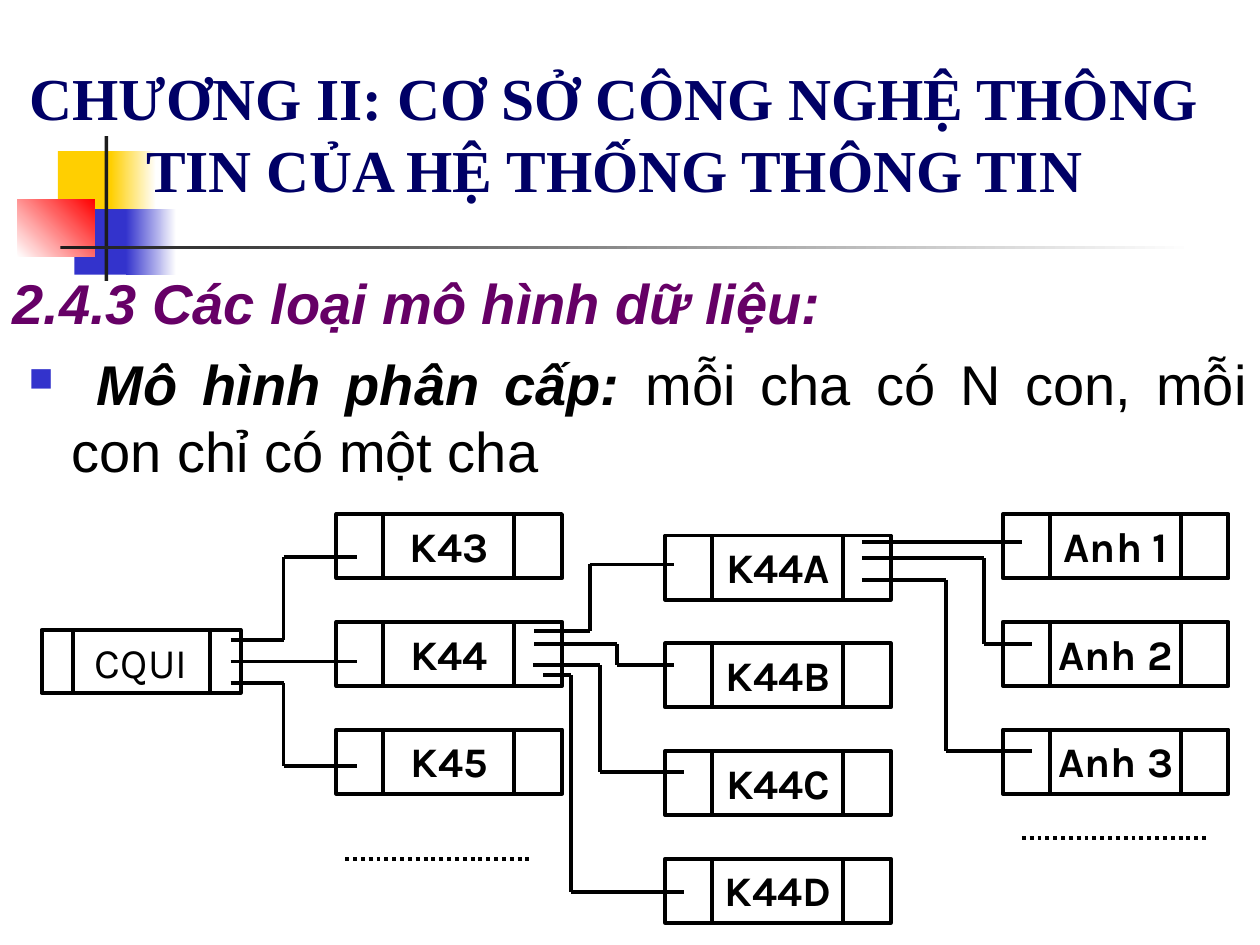
from itertools import pairwise

from pptx import Presentation
from pptx.dml.color import RGBColor
from pptx.enum import dml, shapes, text
from pptx.oxml.xmlchemy import OxmlElement
from pptx.util import Inches, Pt

BLACK = RGBColor(0x00, 0x00, 0x00)
WHITE = RGBColor(0xFF, 0xFF, 0xFF)
YELLOW = RGBColor(0xFF, 0xCF, 0x01)
BLUE = RGBColor(0x33, 0x33, 0xCC)
RED = RGBColor(0xFF, 0x00, 0x00)
CHARCOAL = RGBColor(0x1C, 0x1C, 0x1C)
NAVY = RGBColor(0x00, 0x00, 0x66)
PURPLE = RGBColor(0x66, 0x00, 0x66)

LINE_WIDTH = Pt(2.25)
NODE_WIDTH, NODE_HEIGHT, NODE_PITCH = 1.79, 0.51, 0.855
NODE_DIVIDERS = (0.37, 1.41)

# Left edge, top edge and labels of each column of records
COLUMNS = [
    (2.67, 4.08, ["K43", "K44", "K45"]),
    (5.28, 4.25, ["K44A", "K44B", "K44C", "K44D"]),
    (7.96, 4.08, ["Anh 1", "Anh 2", "Anh 3"]),
]

# Corner points of each parent-to-child link
LINKS = [
    [(1.83, 5.08), (2.25, 5.08), (2.25, 4.42), (2.83, 4.42)],
    [(1.83, 5.25), (2.83, 5.25)],
    [(1.83, 5.42), (2.25, 5.42), (2.25, 6.08), (2.83, 6.08)],
    [(4.24, 5.01), (4.68, 5.01), (4.68, 4.48), (5.35, 4.48)],
    [(4.24, 5.11), (4.9, 5.11), (4.9, 5.28), (5.35, 5.28)],
    [(4.23, 5.28), (4.76, 5.28), (4.76, 6.13), (5.43, 6.13)],
    [(4.31, 5.36), (4.53, 5.36), (4.53, 7.08), (5.43, 7.08)],
    [(6.84, 4.3), (8.11, 4.3)],
    [(6.84, 4.43), (7.81, 4.43), (7.81, 5.11), (8.19, 5.11)],
    [(6.84, 4.6), (7.51, 4.6), (7.51, 5.96), (8.19, 5.96)],
]


def add_span(para, words, size, font, color, bold=False, italic=False):
    span = para.add_run()
    span.text = words
    span.font.size = Pt(size)
    span.font.name = font
    span.font.color.rgb = color
    span.font.bold = bold
    span.font.italic = italic


def add_rect(page, left, top, width, height):
    rect = page.shapes.add_shape(
        shapes.MSO_SHAPE.RECTANGLE,
        Inches(left), Inches(top), Inches(width), Inches(height))
    rect.shadow.inherit = False
    return rect


def add_block(page, left, top, width, height, color, end=None, angle=0):
    """Borderless decoration, fading to the end colour when one is given."""
    block = add_rect(page, left, top, width, height)
    block.line.fill.background()
    if end is None:
        block.fill.solid()
        block.fill.fore_color.rgb = color
        return
    block.fill.gradient()
    block.fill.gradient_angle = angle
    for stop, shade in zip(block.fill.gradient_stops, (color, end)):
        stop.color.rgb = shade


def add_line(page, start, finish, dash=None):
    line = page.shapes.add_connector(
        shapes.MSO_CONNECTOR.STRAIGHT,
        *(Inches(value) for value in (*start, *finish)))
    line.line.color.rgb = BLACK
    line.line.width = LINE_WIDTH
    if dash is not None:
        line.line.dash_style = dash
    line._element.spPr.append(OxmlElement("a:effectLst"))


def add_link(page, points):
    for start, finish in pairwise(points):
        add_line(page, start, finish)


def add_node(page, left, top, label, width=NODE_WIDTH, height=NODE_HEIGHT,
             dividers=NODE_DIVIDERS, bold=True, anchor=text.MSO_ANCHOR.TOP):
    """Record box with a pointer field on each side of its label."""
    node = add_rect(page, left, top, width, height)
    node.fill.solid()
    node.fill.fore_color.rgb = WHITE
    node.line.color.rgb = BLACK
    node.line.width = LINE_WIDTH
    frame = node.text_frame
    frame.word_wrap = bold
    frame.vertical_anchor = anchor
    para = frame.paragraphs[0]
    para.alignment = text.PP_ALIGN.CENTER
    add_span(para, label, 24, "Karla", BLACK, bold)
    for offset in dividers:
        add_line(page, (left + offset, top), (left + offset, top + height))


def add_decoration(page):
    add_block(page, 0.46, 1.2, 0.48, 0.52, YELLOW)
    add_block(page, 0.88, 1.2, 0.36, 0.52, YELLOW, WHITE)
    add_block(page, 0.59, 1.66, 0.46, 0.52, BLUE)
    add_block(page, 1, 1.66, 0.4, 0.52, BLUE, WHITE)
    add_block(page, 0.14, 1.58, 0.61, 0.46, WHITE, RED, 45)
    add_block(page, 0.83, 1.08, 0.03, 1.15, CHARCOAL)
    add_block(page, 0.48, 1.95, 9, 0.03, CHARCOAL, WHITE)


def set_title(page):
    title = page.shapes.title
    title.left, title.top = Inches(0), Inches(0)
    title.width, title.height = Inches(9.75), Inches(1.67)
    # Bring the title in front of the decoration
    title.element.getparent().append(title.element)
    frame = title.text_frame
    frame.word_wrap = True
    frame.auto_size = text.MSO_AUTO_SIZE.NONE
    frame.vertical_anchor = text.MSO_ANCHOR.BOTTOM
    para = frame.paragraphs[0]
    para.alignment = text.PP_ALIGN.CENTER
    add_span(para, "CHƯƠNG II: CƠ SỞ CÔNG NGHỆ THÔNG TIN CỦA HỆ THỐNG THÔNG TIN",
             34, "Times New Roman", NAVY, bold=True)


def add_square_bullet(para):
    properties = para._p.get_or_add_pPr()
    properties.set("marL", str(Inches(0.47)))
    properties.set("indent", str(Inches(-0.34)))
    color = OxmlElement("a:buClr")
    rgb = OxmlElement("a:srgbClr")
    rgb.set("val", str(BLUE))
    color.append(rgb)
    size = OxmlElement("a:buSzPct")
    size.set("val", "60000")
    mark = OxmlElement("a:buChar")
    mark.set("char", "■")
    for element in (color, size, mark):
        properties.append(element)


def add_body(page):
    box = page.shapes.add_textbox(
        Inches(0), Inches(2.08), Inches(10), Inches(1.9))
    frame = box.text_frame
    frame.word_wrap = True
    heading = frame.paragraphs[0]
    heading.alignment = text.PP_ALIGN.JUSTIFY
    add_span(heading, "2.4.3 Các loại mô hình dữ liệu:", 32, "Arial", PURPLE,
             bold=True, italic=True)
    point = frame.add_paragraph()
    point.alignment = text.PP_ALIGN.JUSTIFY
    point.space_before = Pt(8)
    add_square_bullet(point)
    add_span(point, " ", 32, "Arial", BLACK)
    add_span(point, "Mô hình phân cấp: ", 32, "Arial", BLACK,
             bold=True, italic=True)
    add_span(point, "mỗi cha có N con, mỗi con chỉ có một cha",
             32, "Arial", BLACK)


def add_tree(page):
    for left, top, labels in COLUMNS:
        for row, label in enumerate(labels):
            add_node(page, left, top + row * NODE_PITCH, label)
    add_node(page, 0.33, 5, "CQUI", 1.58, 0.5, (0.25, 1.34),
             bold=False, anchor=text.MSO_ANCHOR.MIDDLE)
    for points in LINKS:
        add_link(page, points)
    for left, top in ((8.11, 6.65), (2.74, 6.82)):
        add_line(page, (left, top), (left + 1.49, top),
                 dml.MSO_LINE.ROUND_DOT)


def main():
    deck = Presentation()
    deck.slide_width, deck.slide_height = Inches(10), Inches(7.5)
    page = deck.slides.add_slide(deck.slide_layouts[5])
    add_decoration(page)
    set_title(page)
    add_body(page)
    add_tree(page)
    deck.save("out.pptx")


if __name__ == "__main__":
    main()
